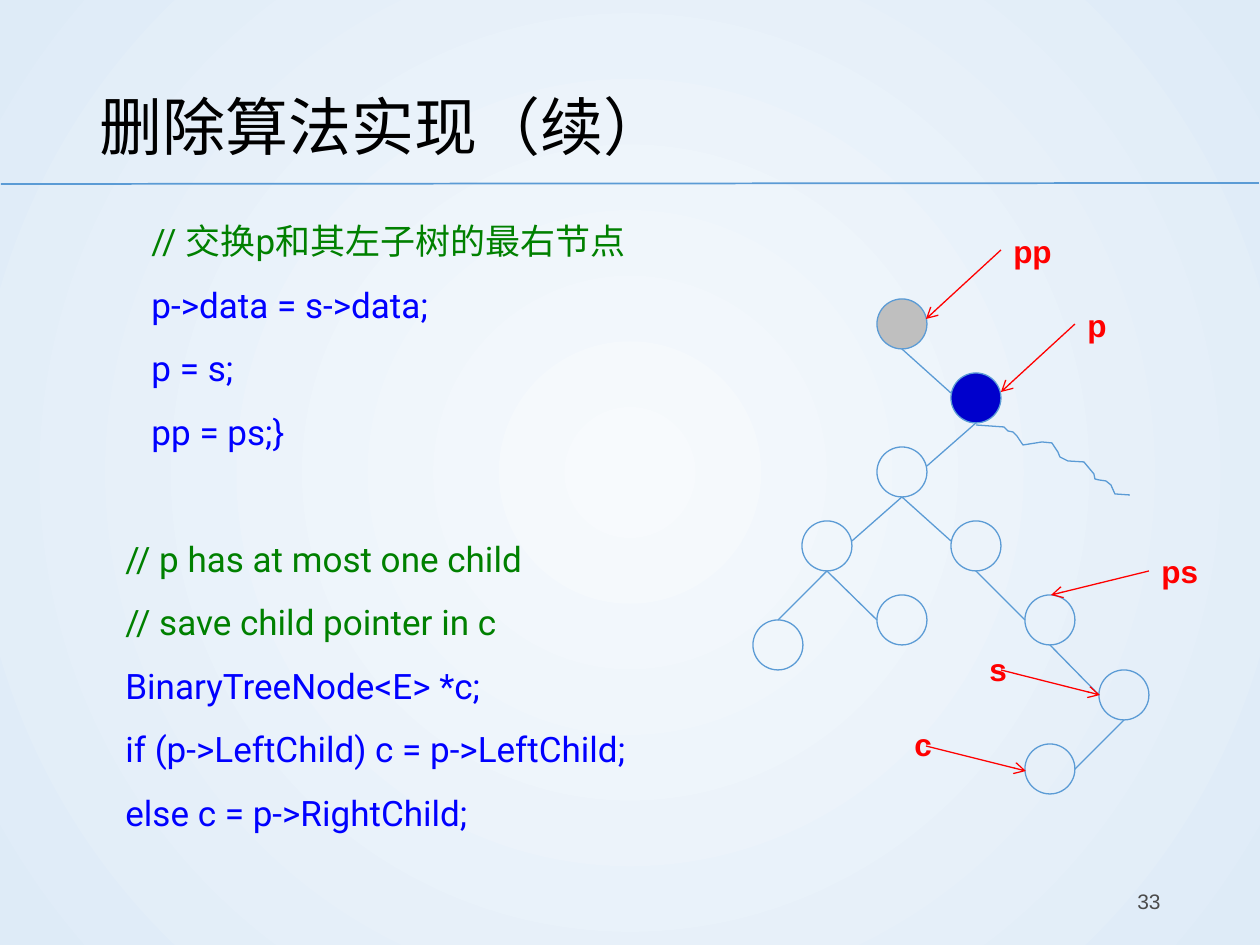
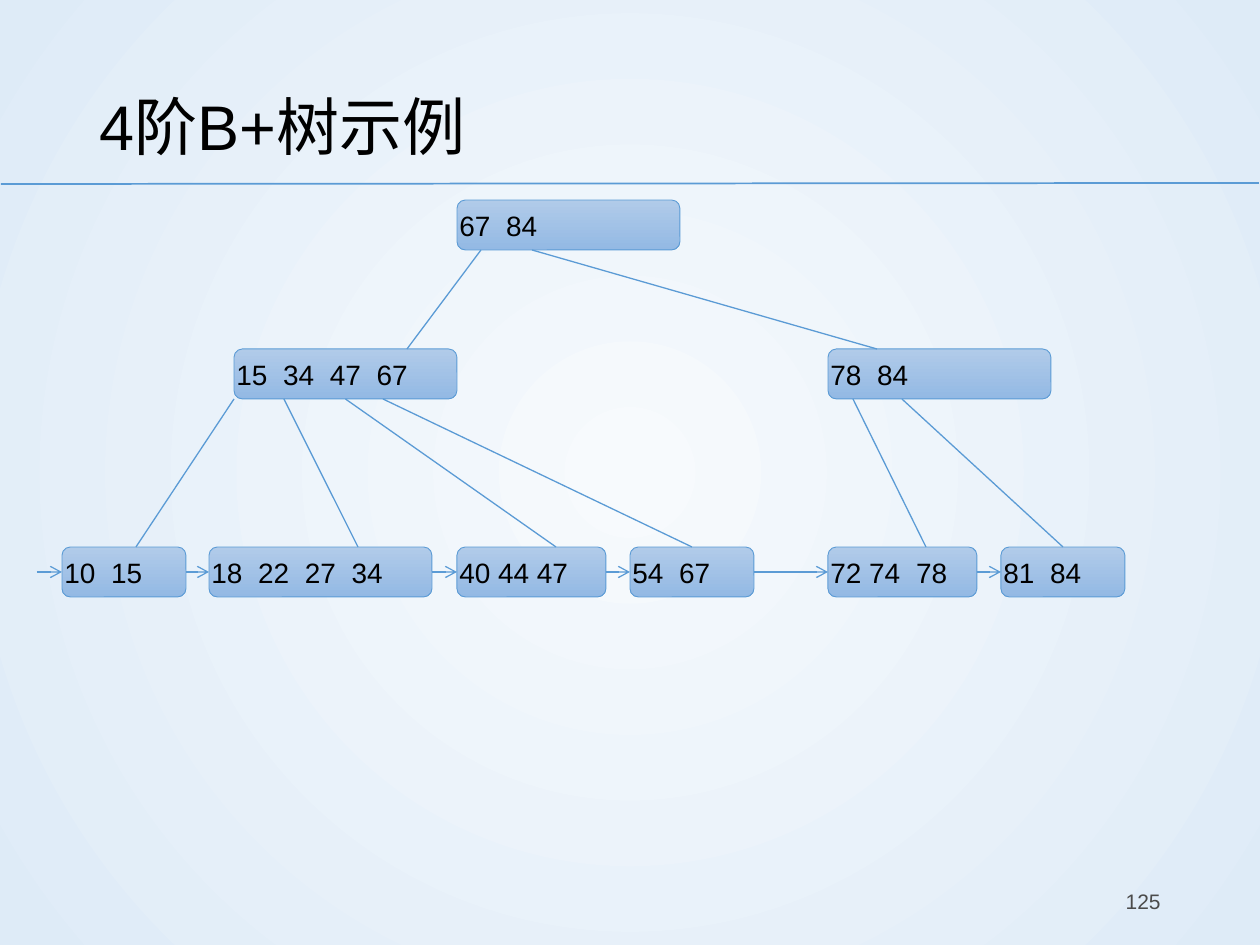
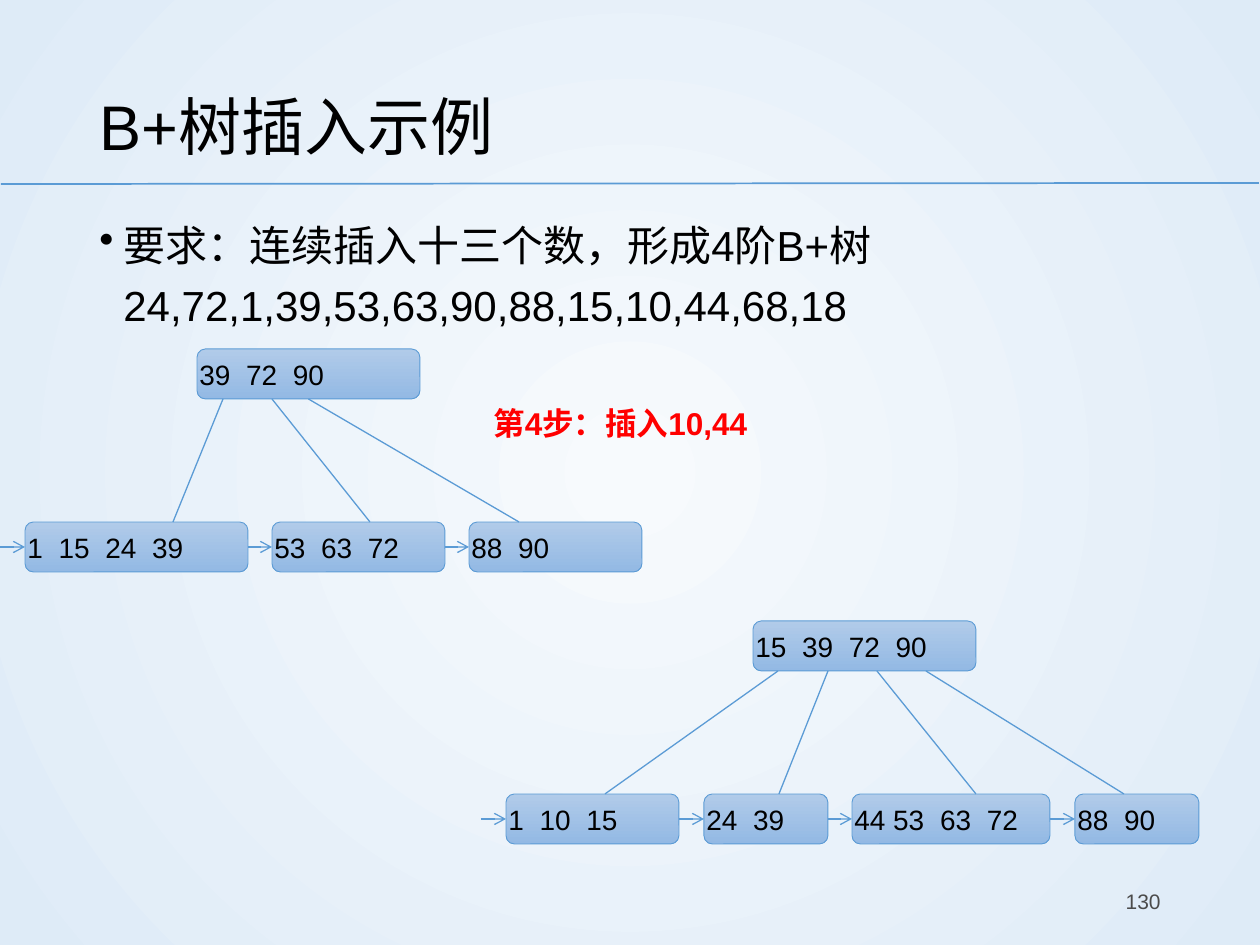
import lxml.etree
import pptx
import pptx.dml.color
import pptx.enum.shapes
import pptx.enum.text
import pptx.oxml.ns
import pptx.util

PX = 7257
NODE = 50
BLUE, RED, BLACK, GREY = "5B9BD5", "FF0000", "000000", "4B4B4B"
GREEN, CODE_BLUE = "008000", "0000FF"
SHAPES = pptx.enum.shapes.MSO_SHAPE
MIDDLE = pptx.enum.text.MSO_ANCHOR.MIDDLE
ALIGN = pptx.enum.text.PP_ALIGN
rgb = pptx.dml.color.RGBColor.from_string
qn = pptx.oxml.ns.qn


def write_text(page, area, lines, size, color, font="Arial", bold=False):
    box = page.shapes.add_textbox(*(value * PX for value in area))
    frame = box.text_frame
    frame.word_wrap = True
    frame.text = "\n".join(lines)
    for para in frame.paragraphs:
        for span in para.runs:
            span.font.size = pptx.util.Pt(size)
            span.font.name = font
            span.font.bold = bold
            span.font.color.rgb = rgb(color)
    return frame


def draw_line(page, start, end, color=BLUE, width=0.75, arrow=False):
    ends = (value * PX for value in (*start, *end))
    line = page.shapes.add_connector(pptx.enum.shapes.MSO_CONNECTOR.STRAIGHT, *ends)
    line.line.color.rgb = rgb(color)
    line.line.width = pptx.util.Pt(width)
    properties = line.element.spPr
    lxml.etree.SubElement(properties, qn("a:effectLst"))
    if arrow:
        lxml.etree.SubElement(properties.find(qn("a:ln")), qn("a:tailEnd"), type="arrow")
    return line


deck = pptx.Presentation()
deck.slide_width = pptx.util.Inches(10)
deck.slide_height = pptx.util.Inches(7.5)

backdrop = deck.slide_master.background.fill
backdrop.gradient()
for stop, color in zip(backdrop.gradient_stops, ("F7FAFD", "DEEBF7")):
    stop.color.rgb = rgb(color)
linear = deck.slide_master.element.find(".//" + qn("a:lin"))
radial = lxml.etree.Element(qn("a:path"), path="circle")
lxml.etree.SubElement(radial, qn("a:fillToRect"), l="50000", t="50000", r="50000", b="50000")
linear.getparent().replace(linear, radial)

pages = []
for title, number in (("删除算法实现（续）", "33"), ("4阶B+树示例", "125"), ("B+树插入示例", "130")):
    page = deck.slides.add_slide(deck.slide_layouts[6])
    draw_line(page, (1, 184), (1259, 183), width=1)
    frame = write_text(page, (87, 50, 1086, 136), [title], 36, BLACK)
    frame.vertical_anchor = MIDDLE
    frame.paragraphs[0].line_spacing = 1.2
    frame = write_text(page, (890, 876, 283, 50), [number], 12, GREY)
    frame.vertical_anchor = MIDDLE
    frame.paragraphs[0].alignment = ALIGN.RIGHT
    pages.append(page)
delete_page, example_page, insert_page = pages

code = [
    "      // 交换p和其左子树的最右节点",
    "      p->data = s->data;",
    "      p = s;",
    "      pp = ps;}",
    "   // p has at most one child",
    "   // save child pointer in c",
    "   BinaryTreeNode<E> *c;",
    "   if (p->LeftChild) c = p->LeftChild;",
    "   else c = p->RightChild;",
]
code_frame = write_text(delete_page, (87, 205, 1086, 646), code, 20, CODE_BLUE, "Roboto")
for para in code_frame.paragraphs:
    if para.text.lstrip().startswith("//"):
        para.runs[0].font.color.rgb = rgb(GREEN)
task = ["要求：连续插入十三个数，形成4阶B+树24,72,1,39,53,63,90,88,15,10,44,68,18"]
task_frame = write_text(insert_page, (87, 203, 1086, 600), task, 24, BLACK)
for frame in (code_frame, task_frame):
    for index, para in enumerate(frame.paragraphs):
        para.line_spacing = 1.2
        para.space_before = pptx.util.Pt(7.5 if index else 0)
        properties = para._p.get_or_add_pPr()
        properties.set("marL", str(24 * PX))
        properties.set("indent", str(-24 * PX))
code_frame.paragraphs[4].space_before = pptx.util.Pt(43.8)
lxml.etree.SubElement(task_frame.paragraphs[0]._p.pPr, qn("a:buChar"), char="•")
write_text(insert_page, (481, 398, 470, 50), ["第4步：插入10,44"], 18, RED, bold=True)

circles = {
    "pp": (902, 324), "p": (976, 398), "left": (902, 472), "left.left": (827, 546),
    "left.right": (976, 546), "ps": (1050, 620), "s": (1124, 695), "c": (1050, 769),
    "inner leaf": (902, 620), "outer leaf": (778, 645),
}
circle_fills = {"pp": "BFBFBF", "p": "0000CC"}
for name, (x, y) in circles.items():
    area = (x - NODE // 2, y - NODE // 2, NODE, NODE)
    circle = delete_page.shapes.add_shape(SHAPES.OVAL, *(value * PX for value in area))
    circle.shadow.inherit = False
    circle.line.color.rgb = rgb(BLUE)
    circle.line.width = pptx.util.Pt(0.75)
    if name in circle_fills:
        circle.fill.solid()
        circle.fill.fore_color.rgb = rgb(circle_fills[name])
    else:
        circle.fill.background()

edges = [
    ("pp", "p", -25, -5), ("p", "left", 25, -6), ("left", "left.left", 25, -5),
    ("left", "left.right", -25, -5), ("left.right", "ps", -25, 0), ("ps", "s", -25, 0),
    ("s", "c", 25, 0), ("left.left", "inner leaf", -25, 0), ("left.left", "outer leaf", 0, -25),
]
for parent, child, dx, dy in edges:
    x, y = circles[parent]
    child_x, child_y = circles[child]
    draw_line(delete_page, (x, y + NODE // 2), (child_x + dx, child_y + dy))

subtree_outline = [
    (1004, 427), (1008, 431), (1013, 432), (1017, 436), (1023, 445), (1036, 443), (1042, 442),
    (1052, 443), (1058, 452), (1060, 457), (1068, 461), (1084, 462), (1094, 474), (1095, 479),
    (1099, 480), (1106, 481), (1111, 485), (1115, 494), (1130, 495),
]
builder = delete_page.shapes.build_freeform(976, 425, scale=PX)
builder.add_line_segments(subtree_outline, close=False)
subtree = builder.convert_to_shape()
subtree.shadow.inherit = False
subtree.fill.background()
subtree.line.color.rgb = rgb(BLUE)
subtree.line.width = pptx.util.Pt(0.75)

pointers = [
    ("p", (1075, 300), (1075, 324), (1001, 392)),
    ("pp", (1001, 226), (1001, 250), (926, 319)),
    ("s", (977, 644), (1001, 670), (1100, 695)),
    ("ps", (1149, 546), (1149, 571), (1051, 595)),
    ("c", (902, 719), (926, 746), (1026, 771)),
]
for name, corner, start, end in pointers:
    draw_line(delete_page, start, end, RED, arrow=True)
    write_text(delete_page, (*corner, 74, 50), [name], 18, RED, bold=True)

trees = [
    (
        example_page,
        [(457, 200, 223, "67\t84"), (234, 349, 223, "15\t34\t47\t67"), (828, 349, 223, "78\t84")],
        547,
        [(62, 124, "10\t15"), (209, 223, "18\t22\t27\t34"), (457, 149, "40 44 47"),
         (630, 124, "54\t67"), (828, 149, "72 74\t78"), (1001, 124, "81\t84")],
        [(0, 481, 1, 407), (0, 532, 2, 877), (1, 234, 3, 136), (1, 284, 4, 358),
         (1, 345, 5, 556), (1, 383, 6, 692), (2, 853, 7, 926), (2, 902, 8, 1062)],
    ),
    (
        insert_page,
        [(197, 349, 223, "39\t72\t90")],
        522,
        [(25, 223, "1\t15\t24\t39"), (272, 173, "53\t63\t72"), (469, 173, "88\t90")],
        [(0, 223, 1, 173), (0, 272, 2, 370), (0, 309, 3, 519)],
    ),
    (
        insert_page,
        [(753, 621, 223, "15\t39\t72\t90")],
        794,
        [(506, 173, "1\t10\t15"), (704, 124, "24\t39"),
         (852, 198, "44 53\t63\t72"), (1075, 124, "88\t90")],
        [(0, 778, 1, 605), (0, 828, 2, 779), (0, 877, 3, 976), (0, 926, 4, 1124)],
    ),
]
for page, branches, leaf_top, leaves, links in trees:
    nodes = branches + [(x, leaf_top, width, keys) for x, width, keys in leaves]
    boxes = []
    for x, y, width, keys in nodes:
        area = (x, y, width, NODE)
        box = page.shapes.add_shape(SHAPES.ROUNDED_RECTANGLE, *(value * PX for value in area))
        box.shadow.inherit = False
        box.fill.gradient()
        box.fill.gradient_angle = 270
        for stop, color in zip(box.fill.gradient_stops, ("B1CBE9", "93B9E4")):
            stop.color.rgb = rgb(color)
        box.line.color.rgb = rgb(BLUE)
        box.line.width = pptx.util.Pt(0.5)
        frame = box.text_frame
        frame.margin_left = frame.margin_top = frame.margin_bottom = 0
        frame.margin_right = 25 * PX
        frame.vertical_anchor = MIDDLE
        frame.word_wrap = True
        frame.text = keys
        para = frame.paragraphs[0]
        para.alignment = ALIGN.LEFT
        tabs = lxml.etree.SubElement(para._p.get_or_add_pPr(), qn("a:tabLst"))
        position = 0
        for group in keys.split("\t")[:-1]:
            position += sum(4.45 if mark == " " else 8.9 for mark in group) + 8.9
            lxml.etree.SubElement(tabs, qn("a:tab"), pos=str(pptx.util.Pt(position)), algn="l")
        for span in para.runs:
            span.font.size = pptx.util.Pt(16)
            span.font.name = "Arial"
            span.font.color.rgb = rgb(BLACK)
        boxes.append(box)

    for parent, start_x, child, end_x in links:
        parent_x, parent_y, parent_width, keys = nodes[parent]
        child_x, child_y, child_width, keys = nodes[child]
        link = draw_line(page, (start_x, parent_y + NODE), (end_x, child_y))
        if abs(start_x - parent_x - parent_width / 2) < 2:
            link.begin_connect(boxes[parent], 2)
        if abs(end_x - child_x - child_width / 2) < 2:
            link.end_connect(boxes[child], 0)

    previous = None
    for box, (x, width, keys) in zip(boxes[len(branches):], leaves):
        middle = leaf_top + NODE // 2
        chain = draw_line(page, (x - 25, middle), (x, middle), arrow=True)
        if previous:
            chain.begin_connect(previous, 3)
        chain.end_connect(box, 1)
        previous = box

deck.save("out.pptx")
